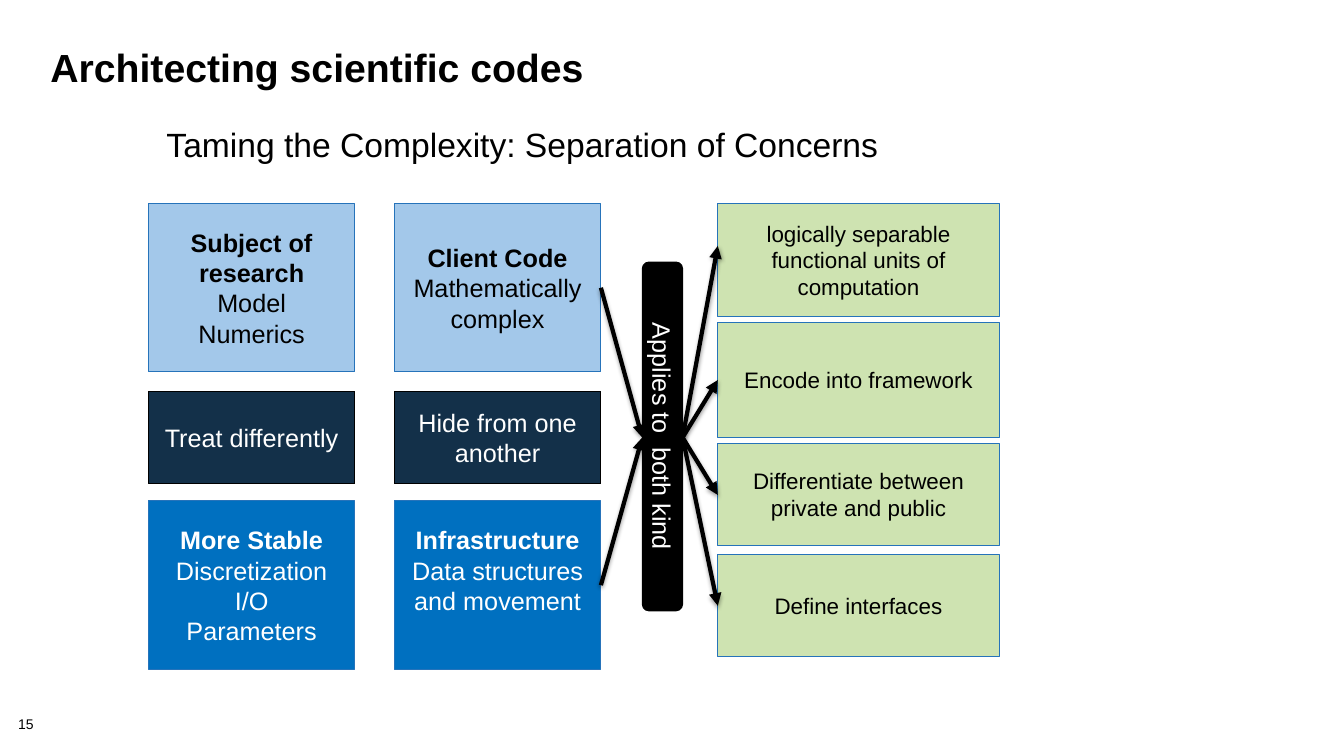
from lxml import etree
from pptx import Presentation
from pptx.dml.color import RGBColor
from pptx.enum.shapes import MSO_CONNECTOR, MSO_SHAPE
from pptx.enum.text import MSO_ANCHOR, MSO_AUTO_SIZE, PP_ALIGN
from pptx.oxml import parse_xml
from pptx.oxml.ns import nsdecls, qn
from pptx.util import Inches, Pt

BLACK, WHITE, EDGE = "000000", "FFFFFF", "2673BA"
PALE, NAVY, BLUE, GREEN = "A3C8EA", "133049", "0070C0", "CEE3B1"


def paint(fill, color):
    fill.solid()
    fill.fore_color.rgb = RGBColor.from_string(color)


class Board:
    """One slide and its style; all lengths are percent of the slide's size."""

    font = "Arial"

    def __init__(self, deck):
        self.wide, self.high = deck.slide_width, deck.slide_height
        self.slide = deck.slides.add_slide(deck.slide_layouts[5])
        self.shapes = self.slide.shapes

    def scale(self, *shares):
        """Turn alternating x and y shares into lengths."""
        sides = (self.wide, self.high) * 2
        return [int(side * share / 100) for side, share in zip(sides, shares)]

    def letter(self, frame, lines, size, color, align=PP_ALIGN.CENTER,
               bold=False, space=1.0):
        """Fill a frame with lines; bold applies to the first one."""
        frame.word_wrap = True
        frame.auto_size = MSO_AUTO_SIZE.NONE
        for i, line in enumerate(lines):
            para = frame.paragraphs[0] if i == 0 else frame.add_paragraph()
            para.text = line
            para.alignment = align
            para.line_spacing = space
            para.space_before = Pt(0)
            para.font.name = self.font
            para.font.size = Pt(size)
            para.font.bold = bold and i == 0
            paint(para.font.fill, color)

    def title(self, area, text):
        head = self.shapes.title
        head.left, head.top, head.width, head.height = self.scale(*area)
        head.text_frame.vertical_anchor = MSO_ANCHOR.TOP
        self.letter(head.text_frame, [text], 28, BLACK, PP_ALIGN.LEFT, True, 0.85)

    def label(self, area, text, size, align, inset=True):
        frame = self.shapes.add_textbox(*self.scale(*area)).text_frame
        if not inset:
            frame.margin_left = frame.margin_right = 0
            frame.margin_top = frame.margin_bottom = 0
        self.letter(frame, [text], size, BLACK, align, space=0.9)

    def box(self, area, lines, fill, color, edge=EDGE, size=18, bold=False,
            kind=MSO_SHAPE.RECTANGLE):
        shape = self.shapes.add_shape(kind, *self.scale(*area))
        shape.shadow.inherit = False
        paint(shape.fill, fill)
        paint(shape.line.fill, edge)
        shape.line.width = Pt(0.75)
        shape.text_frame.vertical_anchor = MSO_ANCHOR.MIDDLE
        self.letter(shape.text_frame, lines, size, color, bold=bold)
        return shape

    def arrow(self, start, end):
        link = self.shapes.add_connector(
            MSO_CONNECTOR.STRAIGHT, *self.scale(*start, *end))
        paint(link.line.fill, BLACK)
        link.line.width = Pt(3)
        props = link.element.spPr
        etree.SubElement(props.find(qn("a:ln")), qn("a:tailEnd"), type="triangle")
        props.append(parse_xml(
            f'<a:effectLst {nsdecls("a")}><a:outerShdw blurRad="{Pt(3.1)}" '
            f'dist="{Pt(1.6)}" dir="5400000" rotWithShape="0">'
            f'<a:srgbClr val="{BLACK}"><a:alpha val="38000"/></a:srgbClr>'
            '</a:outerShdw></a:effectLst>'))


def main():
    deck = Presentation()
    deck.slide_width, deck.slide_height = Inches(13.33), Inches(7.5)
    board = Board(deck)
    board.title((3, 6, 93.32, 13.33), "Architecting scientific codes")
    board.label((7.28, 16.4, 63.17, 9.33),
                "Taming the Complexity: Separation of Concerns", 24, PP_ALIGN.CENTER)
    board.label((1.35, 94.93, 4.2, 2.13), "15", 10, PP_ALIGN.LEFT, inset=False)

    left, pitch, width = 11.03, 18.3, 15.38
    # top, height, fill, text colour, edge, bold heading
    rows = [(26.93, 22.27, PALE, BLACK, EDGE, True),
            (51.73, 12.27, NAVY, WHITE, BLACK, False),
            (66.27, 22.27, BLUE, WHITE, EDGE, True)]
    columns = [
        [["Subject of research", "Model", "Numerics"],
         ["Treat differently"],
         ["More Stable", "Discretization", "I/O", "Parameters"]],
        [["Client Code", "Mathematically complex"],
         ["Hide from one another"],
         ["Infrastructure", "Data structures and movement"]],
    ]
    for col, cells in enumerate(columns):
        for lines, (top, high, fill, color, edge, bold) in zip(cells, rows):
            cell = board.box((left + col * pitch, top, width, high), lines,
                             fill, color, edge, bold=bold)
    cell.text_frame.margin_bottom = Inches(0.35)  # lifts the Infrastructure text

    # top, height, arrow target, text
    steps = [
        (26.93, 14.93, 32.53, "logically separable functional units of computation"),
        (42.67, 15.2, 50.27, "Encode into framework"),
        (58.67, 13.47, 65.47, "Differentiate between private and public"),
        (73.33, 13.47, 80.13, "Define interfaces"),
    ]
    right = 53.41
    for top, high, _, text in steps:
        board.box((right, top, 20.93, high), [text], GREEN, BLACK, size=16)

    bar = board.box((36.31, 55.07, 25.96, 5.33), ["Applies to  both kind"],
                    BLACK, WHITE, BLACK, kind=MSO_SHAPE.ROUNDED_RECTANGLE)
    bar.rotation = 90

    middle = 57.87
    for top, high, *_ in (rows[0], rows[2]):
        board.arrow((left + pitch + width, top + high / 2), (47.79, middle))
    for _, _, aim, _ in steps:
        board.arrow((50.79, middle), (right, aim))

    deck.save("out.pptx")


if __name__ == "__main__":
    main()
